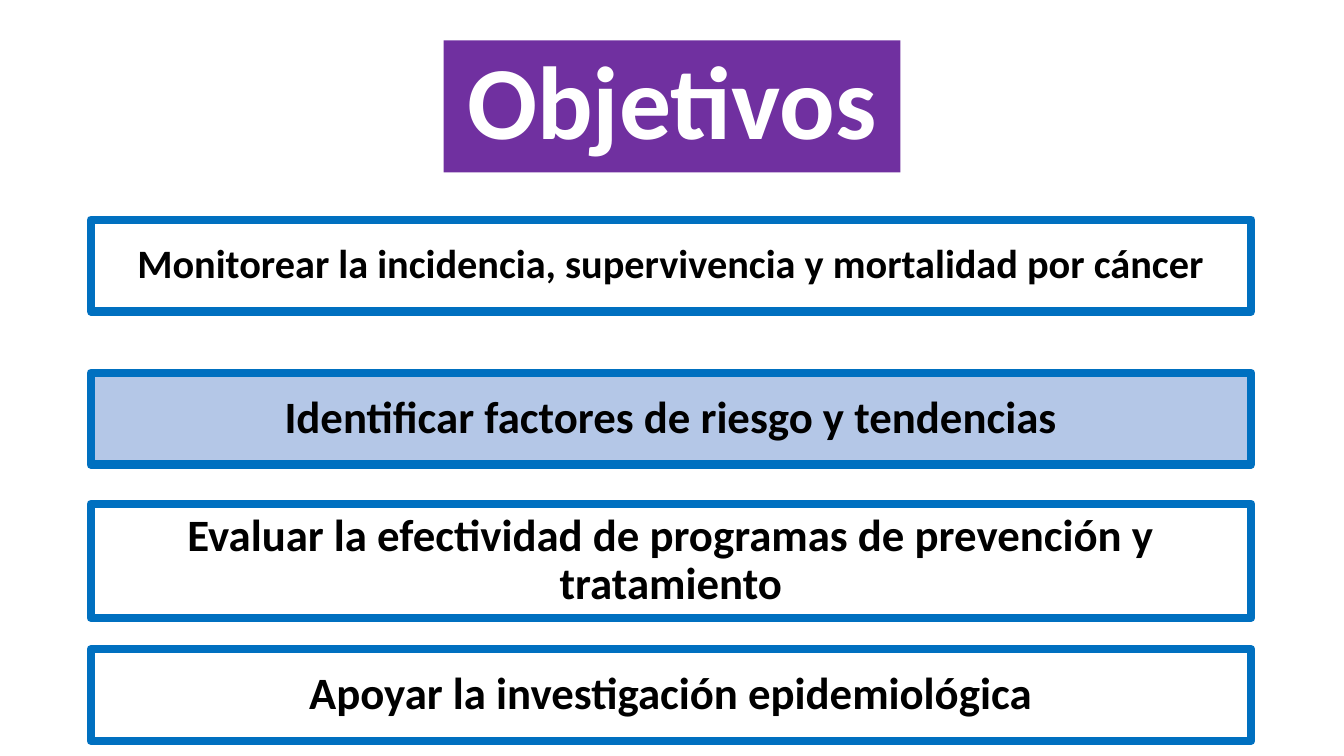
from pptx import Presentation
from pptx.dml.color import RGBColor as RGB
from pptx.enum.shapes import MSO_SHAPE as Shape
from pptx.enum.text import MSO_ANCHOR as Anchor, MSO_AUTO_SIZE as Fit, PP_ALIGN as Align
from pptx.util import Inches, Pt

HUES = {"ink": "000000", "white": "FFFFFF", "plum": "7030A0", "edge": "0070C0", "pale": "B4C7E7"}


def hue(name):
    return RGB.from_string(HUES[name])


def write(shape, text, size=32, color="ink", font="Calibri"):
    frame = shape.text_frame
    frame.word_wrap = True
    frame.auto_size = Fit.NONE
    frame.vertical_anchor = Anchor.MIDDLE
    para = frame.paragraphs[0]
    para.alignment = Align.CENTER
    para.line_spacing = 0.9
    run = para.add_run()
    run.text = text
    run.font.name = font
    run.font.size = Pt(size)
    run.font.bold = True
    run.font.color.rgb = hue(color)


class Deck:
    left, wide, edge = 0.9, 11.51, 6

    def __init__(self, slide):
        self.slide = slide

    def paint(self, shape, fill, line):
        if fill:
            shape.fill.solid()
            shape.fill.fore_color.rgb = hue(fill)
        else:
            shape.fill.background()
        if line:
            shape.line.color.rgb = hue(line)
            shape.line.width = Pt(self.edge)
        else:
            shape.line.fill.background()

    def title(self, text, top, high, size):
        shape = self.slide.shapes.title
        shape.left, shape.top = Inches(self.left), Inches(top)
        shape.width, shape.height = Inches(self.wide), Inches(high)
        self.paint(shape, None, "edge")
        write(shape, text, size=size)

    def box(self, text, left, top, wide, high, fill=None, line=None, **style):
        shape = self.slide.shapes.add_shape(
            Shape.RECTANGLE, Inches(left), Inches(top), Inches(wide), Inches(high))
        shape.shadow.inherit = False
        self.paint(shape, fill, line)
        write(shape, text, **style)

    def goal(self, text, top, high, fill):
        self.box(text, self.left, top, self.wide, high, fill, "edge")


def main():
    prs = Presentation()
    prs.slide_width, prs.slide_height = Inches(13.33), Inches(7.5)
    deck = Deck(prs.slides.add_slide(prs.slide_layouts[5]))
    deck.title("Monitorear la incidencia, supervivencia y mortalidad por cáncer", 2.18, 0.91, 28.8)
    deck.box("Objetivos", 4.4, 0.4, 4.53, 1.31, "plum", size=74, color="white")
    goals = [
        ("Evaluar la efectividad de programas de prevención y tratamiento", 5, 1.13, "white"),
        ("Identificar factores de riesgo y tendencias", 3.7, 0.91, "pale"),
        ("Apoyar la investigación epidemiológica", 6.44, 0.91, None),
    ]
    for goal in goals:
        deck.goal(*goal)
    prs.save("out.pptx")


if __name__ == "__main__":
    main()
